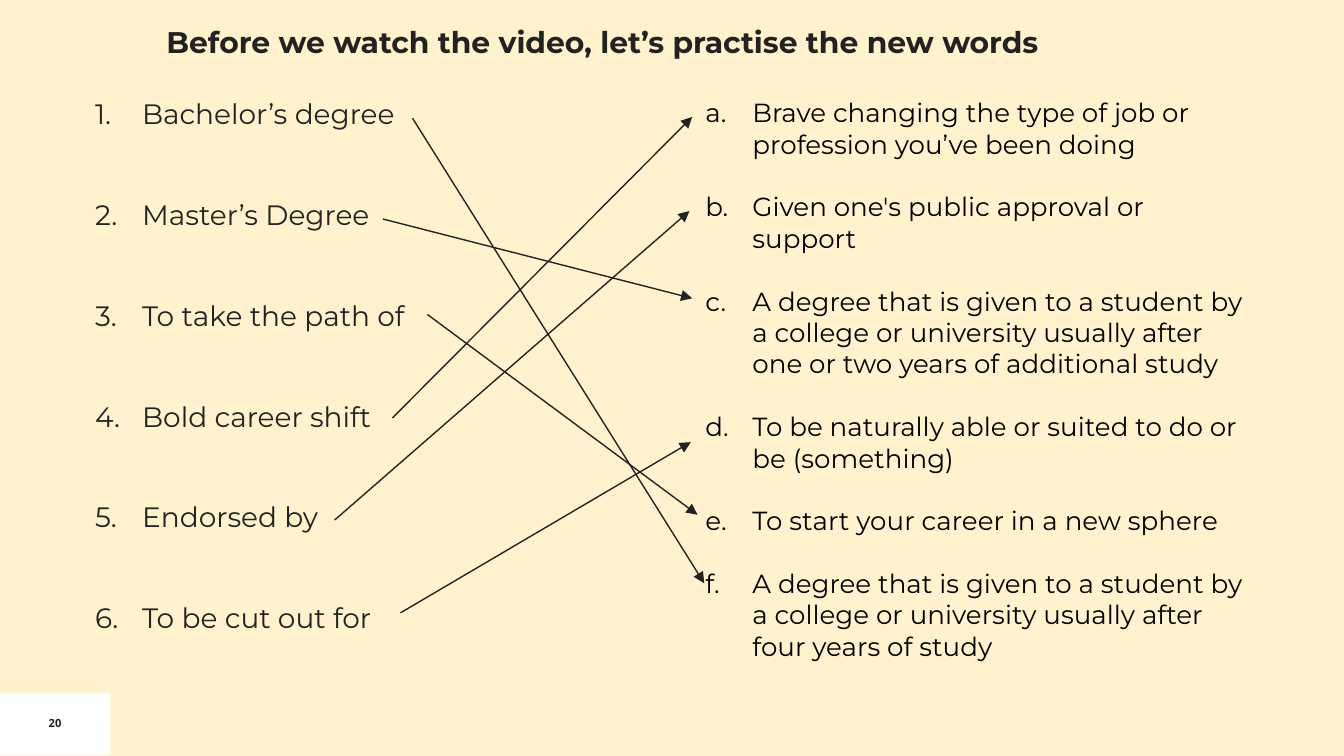
from dataclasses import dataclass

from lxml.etree import SubElement
from pptx import Presentation
from pptx.dml.color import RGBColor
from pptx.enum.shapes import MSO_CONNECTOR, MSO_SHAPE
from pptx.enum.text import MSO_ANCHOR, PP_ALIGN
from pptx.oxml.ns import qn
from pptx.slide import Slide
from pptx.text.text import TextFrame, _Paragraph
from pptx.util import Inches, Pt

CREAM = RGBColor(0xFF, 0xF2, 0xCC)
WHITE = RGBColor(0xFE, 0xFF, 0xFF)
INK = RGBColor(0x22, 0x22, 0x22)
BLACK = RGBColor(0, 0, 0)
BODY_FONT = "Montserrat"
NUMBER_FONT = "Open Sans"
PAGE_WIDTH = 10
PAGE_HEIGHT = PAGE_WIDTH * 9 / 16


@dataclass(frozen=True)
class Area:
    left: float
    top: float
    width: float
    height: float


@dataclass(frozen=True)
class Style:
    size: float
    color: RGBColor = INK
    font: str = BODY_FONT
    bold: bool = False


@dataclass(frozen=True)
class NumberedList:
    area: Area
    style: Style
    numbering: str
    gap: float
    items: tuple[str, ...]


@dataclass(frozen=True)
class Match:
    start: tuple[float, float]
    end: tuple[float, float]


TERMS = NumberedList(
    Area(0.46, 0.62, 3.87, 5), Style(15), "arabicPeriod", 36,
    (
        "Bachelor’s degree",
        "Master’s Degree",
        "To take the path of",
        "Bold career shift",
        "Endorsed by",
        "To be cut out for",
    ),
)
DEFINITIONS = NumberedList(
    Area(5, 0.62, 4.38, 4.86), Style(14, BLACK), "alphaLcPeriod", 16.8,
    (
        "Brave changing the type of job or profession you’ve been doing",
        "Given one's public approval or support",
        "A degree that is given to a student by a college or university "
        "usually after one or two years of additional study",
        "To be naturally able or suited to do or be (something)",
        "To start your career in a new sphere",
        "A degree that is given to a student by a college or university "
        "usually after four years of study",
    ),
)
MATCHES = (
    Match((3.07, 0.88), (5.24, 4.34)),
    Match((2.85, 1.63), (5.15, 2.22)),
    Match((3.18, 2.34), (5.19, 3.83)),
    Match((2.92, 3.11), (5.15, 0.87)),
    Match((2.49, 3.87), (5.13, 1.57)),
    Match((2.98, 4.56), (5.14, 3.29)),
)


def add_frame(page: Slide, area: Area, side: float = 0.1, edge: float = 0.1) -> TextFrame:
    box = page.shapes.add_textbox(
        Inches(area.left), Inches(area.top), Inches(area.width), Inches(area.height)
    )
    frame = box.text_frame
    frame.word_wrap = True
    frame.margin_left = frame.margin_right = Inches(side)
    frame.margin_top = frame.margin_bottom = Inches(edge)
    return frame


def add_span(para: _Paragraph, text: str, style: Style) -> None:
    span = para.add_run()
    span.text = text
    span.font.name = style.font
    span.font.size = Pt(style.size)
    span.font.bold = style.bold
    span.font.color.rgb = style.color


def add_numbering(para: _Paragraph, numbering: str, color: RGBColor) -> None:
    properties = para._p.get_or_add_pPr()
    properties.set("marL", str(Inches(0.5)))
    properties.set("indent", str(Inches(-0.35)))
    bullet_color = SubElement(properties, qn("a:buClr"))
    SubElement(bullet_color, qn("a:srgbClr"), val=str(color))
    SubElement(properties, qn("a:buFont"), typeface=BODY_FONT)
    SubElement(properties, qn("a:buAutoNum"), type=numbering)


def add_list(page: Slide, numbered: NumberedList) -> None:
    frame = add_frame(page, numbered.area)
    for index, item in enumerate(numbered.items):
        para = frame.add_paragraph() if index else frame.paragraphs[0]
        add_numbering(para, numbered.numbering, numbered.style.color)
        if index:
            para.space_before = Pt(numbered.gap)
        add_span(para, item, numbered.style)


def add_match(page: Slide, match: Match) -> None:
    arrow = page.shapes.add_connector(
        MSO_CONNECTOR.STRAIGHT, *map(Inches, match.start + match.end)
    )
    arrow.line.color.rgb = INK
    arrow.line.width = Pt(0.75)
    SubElement(arrow.line._get_or_add_ln(), qn("a:tailEnd"), type="triangle")
    SubElement(arrow._element.spPr, qn("a:effectLst"))


def add_page_number(page: Slide, number: str) -> None:
    corner = page.shapes.add_shape(
        MSO_SHAPE.RECTANGLE, Inches(0), Inches(5.16), Inches(0.82), Inches(0.46)
    )
    corner.shadow.inherit = False
    corner.fill.solid()
    corner.fill.fore_color.rgb = WHITE
    corner.line.fill.background()
    frame = add_frame(page, Area(0, 5.23, 0.82, 0.3), 0.07, 0.04)
    frame.vertical_anchor = MSO_ANCHOR.MIDDLE
    para = frame.paragraphs[0]
    para.alignment = PP_ALIGN.CENTER
    add_span(para, number, Style(6, font=NUMBER_FONT, bold=True))


def main() -> None:
    deck = Presentation()
    deck.slide_width = Inches(PAGE_WIDTH)
    deck.slide_height = Inches(PAGE_HEIGHT)
    page = deck.slides.add_slide(deck.slide_layouts[6])
    page.background.fill.solid()
    page.background.fill.fore_color.rgb = CREAM

    add_page_number(page, "20")
    title = add_frame(page, Area(1.14, 0.08, 8.15, 0.47))
    add_span(
        title.paragraphs[0],
        "Before we watch the video, let’s practise the new words",
        Style(16, bold=True),
    )
    for numbered in (DEFINITIONS, TERMS):
        add_list(page, numbered)
    for match in MATCHES:
        add_match(page, match)
    deck.save("out.pptx")


if __name__ == "__main__":
    main()
